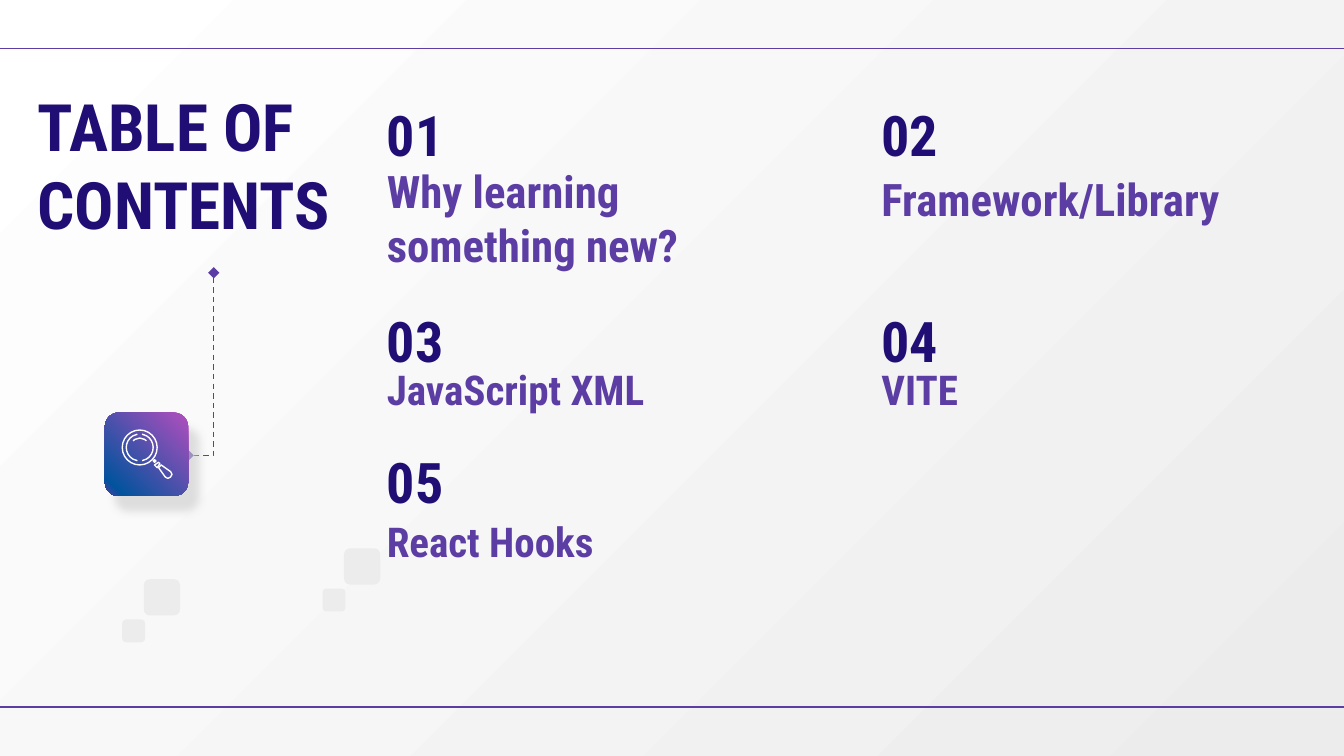
from copy import deepcopy
from lxml.etree import SubElement as Sub
from pptx import Presentation
from pptx.dml.color import RGBColor
from pptx.enum.dml import MSO_LINE as Dash
from pptx.enum.shapes import MSO_CONNECTOR as Link, MSO_SHAPE as Kind
from pptx.enum.text import MSO_ANCHOR as Anchor
from pptx.oxml.ns import qn
from pptx.util import Inches, Pt

NAVY, PLUM, GREY, WHITE = "200E74", "5C3DA4", "ECECEC", "FFFFFF"
FONT = "Roboto Condensed"
ITEMS = [
    (2.78, 0.67, "01", 1.02, 2.49, "Why learning something new?", 24),
    (6.46, 0.67, "02", 0.68, 2.88, "Framework/Library", 24),
    (2.78, 2.2, "03", 0.55, 3.03, "JavaScript XML", 22),
    (6.46, 2.2, "04", 0.55, 3.03, "VITE", 22),
    (2.78, 3.25, "05", 0.63, 3.03, "React Hooks", 22),
]


def tint(code):
    """Turn a hex string into a colour."""
    return RGBColor.from_string(code)


def put(obj, vals):
    """Set attributes from a dict."""
    for key, val in vals.items():
        setattr(obj, key, val)


def blend(fill, node, stops, angle):
    """Apply a linear gradient, with the angle counted clockwise."""
    fill.gradient()
    fill.gradient_angle = 360 - angle
    row = node.xpath(".//a:gsLst")[0]
    while len(row) < len(stops):
        row.append(deepcopy(row[-1]))
    for stop, (pos, code) in zip(fill.gradient_stops, stops):
        stop.position = pos / 100
        stop.color.rgb = tint(code)


def text(slide, box, words, size, code, anchor=Anchor.BOTTOM):
    """Place one bold text box."""
    frame = slide.shapes.add_textbox(*map(Inches, box)).text_frame
    put(frame, dict.fromkeys(
        ("margin_left", "margin_top", "margin_right", "margin_bottom"), Inches(0.1)))
    put(frame, {"word_wrap": True, "vertical_anchor": anchor, "text": words})
    font = frame.paragraphs[0].runs[0].font
    put(font, {"name": FONT, "size": Pt(size), "bold": True})
    font.color.rgb = tint(code)


def block(slide, kind, box, code=None):
    """Place a plain shape without line or shadow."""
    shape = slide.shapes.add_shape(kind, *map(Inches, box))
    shape.shadow.inherit = False
    shape.line.fill.background()
    if code:
        shape.fill.solid()
        shape.fill.fore_color.rgb = tint(code)
    return shape


def stroke(shape, code=WHITE):
    """Give a shape a thin outline and no fill."""
    shape.shadow.inherit = False
    shape.fill.background()
    shape.line.color.rgb = tint(code)
    shape.line.width = Pt(0.75)


def wire(slide, kind, ends):
    """Draw a thin plum connector."""
    link = slide.shapes.add_connector(kind, *map(Inches, ends))
    link.line.color.rgb = tint(PLUM)
    link.line.width = Pt(0.75)
    Sub(link._element.spPr, qn("a:effectLst"))
    return link


def elbow(slide, x, y, wide, high):
    """Draw a dashed elbow going down, then left, inside the box."""
    mid, cent = x + wide / 2, y + high / 2
    link = wire(slide, Link.ELBOW, (mid - high / 2, cent - wide / 2,
                                    mid + high / 2, cent + wide / 2))
    link.line.dash_style = Dash.DASH
    props = link._element.spPr
    props.find(qn("a:xfrm")).set("rot", str(90 * 60000))
    props.find(qn("a:prstGeom")).set("prst", "bentConnector2")
    for end in ("headEnd", "tailEnd"):
        Sub(props.find(qn("a:ln")), qn("a:" + end), type="diamond")


def lens(slide, x, y):
    """Draw a magnifier from the top left of its box."""
    hub = (x + 0.15, y + 0.13)
    for rad, turn in ((0.13, None), (0.1, (100, 260)), (0.1, (280, 80)), (0.07, (225, 315))):
        box = (hub[0] - rad, hub[1] - rad, 2 * rad, 2 * rad)
        ring = block(slide, Kind.ARC if turn else Kind.OVAL, box)
        stroke(ring)
        for spot, deg in enumerate(turn or ()):
            ring.adjustments[spot] = deg * 0.6
    neck = [(0.26, 0.22), (0.27, 0.23), (0.26, 0.24), (0.25, 0.23)]
    collar = [(0.29, 0.24), (0.3, 0.25), (0.28, 0.28), (0.26, 0.26)]
    grip = [(0.31, 0.26), (0.38, 0.31), (0.39, 0.33), (0.38, 0.35),
            (0.36, 0.36), (0.34, 0.35), (0.29, 0.28)]
    for part in (neck, collar, grip):
        dots = [(Inches(x + a), Inches(y + b)) for a, b in part]
        pen = slide.shapes.build_freeform(*dots[0])
        pen.add_line_segments(dots[1:], close=True)
        stroke(pen.convert_to_shape())


def badge(slide, x, y, size):
    """Place the gradient tile with its soft shadow and icon."""
    tile = block(slide, Kind.ROUNDED_RECTANGLE, (x, y, size, size))
    blend(tile.fill, tile._element, [(0, "B24EBE"), (89, "01539D"), (100, PLUM)], 135)
    cast = Sub(tile._element.spPr.find(qn("a:effectLst")), qn("a:outerShdw"),
               blurRad=str(Pt(4.5)), dist=str(Pt(9.8)), dir=str(55 * 60000),
               algn="bl", rotWithShape="0")
    hue = Sub(cast, qn("a:srgbClr"), val="CCCCCC")
    Sub(hue, qn("a:alpha"), val="60000")
    lens(slide, x + 0.11, y + 0.13)


def pair(slide, x, y):
    """Place a large and a small pale square."""
    for left, top, size in ((0.16, 0, 0.27), (0, 0.3, 0.17)):
        block(slide, Kind.ROUNDED_RECTANGLE, (x + left, y + top, size, size), GREY)


def entry(slide, x, y, mark, drop, wide, words, size):
    """Place a number and its heading below."""
    text(slide, (x, y + drop, wide, 0.43), words, size, PLUM)
    text(slide, (x, y, 2.4, 0.68), mark, 30, NAVY)


def main():
    """Build the contents slide."""
    deck = Presentation()
    put(deck, {"slide_width": Inches(10), "slide_height": Inches(10 * 9 / 16)})
    slide = deck.slides.add_slide(deck.slide_layouts[6])
    blend(slide.background.fill, slide._element, [(0, WHITE), (100, GREY)], 45)
    for y in (0.36, 5.26):
        wire(slide, Link.STRAIGHT, (0, y, 10, y))
    text(slide, (0.18, 0.54, 2.82, 1.49), "TABLE OF CONTENTS", 35, NAVY, Anchor.TOP)
    for spot in ((2.4, 4.08), (0.91, 4.31)):
        pair(slide, *spot)
    elbow(slide, 1.4, 2.03, 0.19, 1.36)
    badge(slide, 0.78, 3.07, 0.62)
    for item in ITEMS:
        entry(slide, *item)
    deck.save("out.pptx")


if __name__ == "__main__":
    main()
